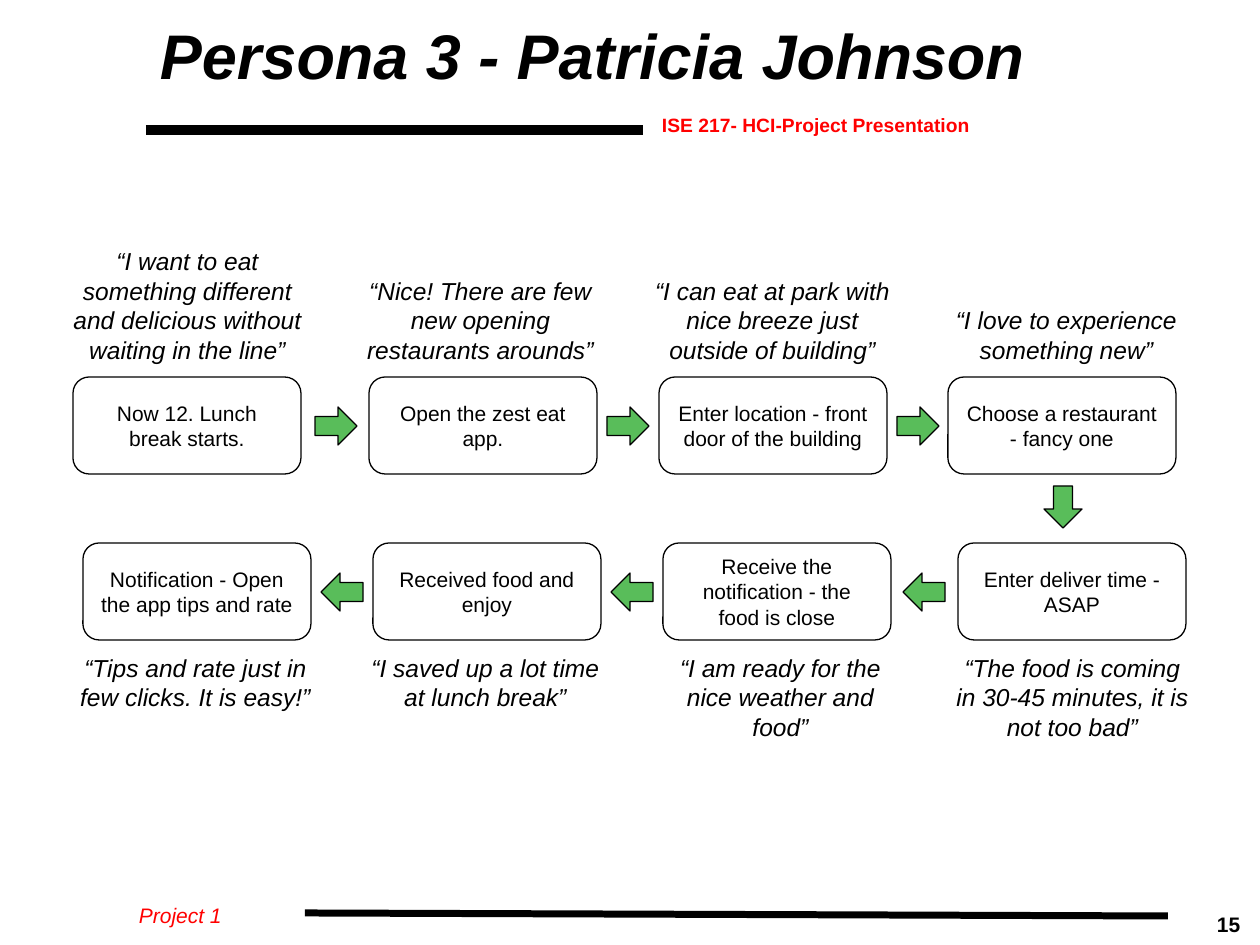
from lxml import etree
from pptx import Presentation
from pptx.dml.color import RGBColor
from pptx.enum.shapes import MSO_CONNECTOR, MSO_SHAPE
from pptx.enum.text import MSO_ANCHOR, PP_ALIGN
from pptx.oxml.ns import qn
from pptx.util import Emu, Pt

PX = 914400 / 126
BLANK_LAYOUT = 6
ROUNDED = MSO_SHAPE.ROUNDED_RECTANGLE
ARROW = MSO_SHAPE.RIGHT_ARROW
STRAIGHT = MSO_CONNECTOR.STRAIGHT
TOP, MIDDLE, BOTTOM = MSO_ANCHOR.TOP, MSO_ANCHOR.MIDDLE, MSO_ANCHOR.BOTTOM
LEFT, CENTER = PP_ALIGN.LEFT, PP_ALIGN.CENTER

STEP_WIDTH, STEP_HEIGHT = 228, 97
QUOTE_WIDTH, QUOTE_HEIGHT = 265, 169
ARROW_WIDTH, ARROW_HEIGHT = 42, 38

FIRST_ROW = [
    (73, "Now 12. Lunch break starts.", 55,
     "“I want to eat something different and delicious without waiting in the line”"),
    (369, "Open the zest eat app.", 348,
     "“Nice! There are few new opening restaurants arounds”"),
    (659, "Enter location - front door of the building", 640,
     "“I can eat at park with nice breeze just outside of building”"),
    (948, "Choose a restaurant - fancy one", 934,
     "“I love to experience something new”"),
]
SECOND_ROW = [
    (958, "Enter deliver time - ASAP", 940,
     "“The food is coming in 30-45 minutes, it is not too bad”"),
    (663, "Receive the notification - the food is close", 648,
     "“I am ready for the nice weather and food”"),
    (373, "Received food and enjoy", 353,
     "“I saved up a lot time at lunch break”"),
    (83, "Notification - Open the app tips and rate", 63,
     "“Tips and rate just in few clicks. It is easy!”"),
]


def px(length):
    return Emu(round(length * PX))


def color(value):
    return RGBColor.from_string(value)


def write(shape, text, size=12, ink="000000", bold=False, italic=False,
          align=LEFT, anchor=TOP, inset_x=13, inset_y=6, spacing=None, wrap=True):
    frame = shape.text_frame
    frame.word_wrap = wrap
    frame.vertical_anchor = anchor
    frame.margin_left = frame.margin_right = px(inset_x)
    frame.margin_top = frame.margin_bottom = px(inset_y)
    para = frame.paragraphs[0]
    para.alignment = align
    para.line_spacing = spacing
    span = para.add_run()
    span.text = text
    span.font.name = "Arial"
    span.font.size = Pt(size)
    span.font.bold = bold
    span.font.italic = italic
    span.font.color.rgb = color(ink)


class FlowSlide:
    ink = "000000"
    accent = "FF0000"
    arrow_fill = "59BD5A"
    outline = 0.75

    def __init__(self, page):
        self.page = page

    def label(self, text, left, top, width, height, **style):
        box = self.page.shapes.add_textbox(px(left), px(top), px(width), px(height))
        write(box, text, **style)

    def rule(self, start, end, weight):
        line = self.page.shapes.add_connector(STRAIGHT, *map(px, start + end))
        line.line.color.rgb = color(self.ink)
        line.line.width = Pt(weight)
        etree.SubElement(line._element.spPr, qn("a:effectLst"))

    def outlined(self, kind, left, top, width, height):
        shape = self.page.shapes.add_shape(kind, px(left), px(top), px(width), px(height))
        shape.shadow.inherit = False
        shape.line.color.rgb = color(self.ink)
        shape.line.width = Pt(self.outline)
        return shape

    def step(self, text, left, top):
        box = self.outlined(ROUNDED, left, top, STEP_WIDTH, STEP_HEIGHT)
        box.fill.background()
        write(box, text, align=CENTER, anchor=MIDDLE, inset_y=13)

    def arrow(self, left, top, rotation=0):
        arrow = self.outlined(ARROW, left, top, ARROW_WIDTH, ARROW_HEIGHT)
        arrow.fill.solid()
        arrow.fill.fore_color.rgb = color(self.arrow_fill)
        arrow.rotation = rotation

    def row(self, steps, top, quote_top, quote_anchor, arrow_lefts, rotation):
        for step_left, action, quote_left, quote in steps:
            self.step(action, step_left, top)
            self.label(quote, quote_left, quote_top, QUOTE_WIDTH, QUOTE_HEIGHT,
                       size=14, italic=True, align=CENTER, anchor=quote_anchor, inset_y=13)
        for left in arrow_lefts:
            self.arrow(left, top + (STEP_HEIGHT - ARROW_HEIGHT) // 2 + 1, rotation)


def main():
    deck = Presentation()
    deck.slide_width, deck.slide_height = px(1260), px(945)
    slide = FlowSlide(deck.slides.add_slide(deck.slide_layouts[BLANK_LAYOUT]))

    slide.label("15", 1217, 906, 38, 38, bold=True, inset_x=0, wrap=False)
    slide.rule((146, 130), (643, 130), 6)
    slide.rule((305, 913), (1168, 916), 4)
    slide.label("ISE 217- HCI-Project Presentation", 649, 107, 609, 35,
                size=11, ink=slide.accent, bold=True)
    slide.label("Project 1", 126, 897, 115, 38, ink=slide.accent, italic=True, wrap=False)
    slide.label("Persona 3 - Patricia Johnson", 147, 10, 1029, 98,
                size=36, bold=True, italic=True, anchor=MIDDLE, spacing=0.9)

    slide.row(FIRST_ROW, 377, 208, BOTTOM, (315, 607, 897), 0)
    slide.arrow(1042, 488, 90)
    slide.row(SECOND_ROW, 543, 640, TOP, (903, 611, 321), 180)

    deck.save("out.pptx")


if __name__ == "__main__":
    main()
